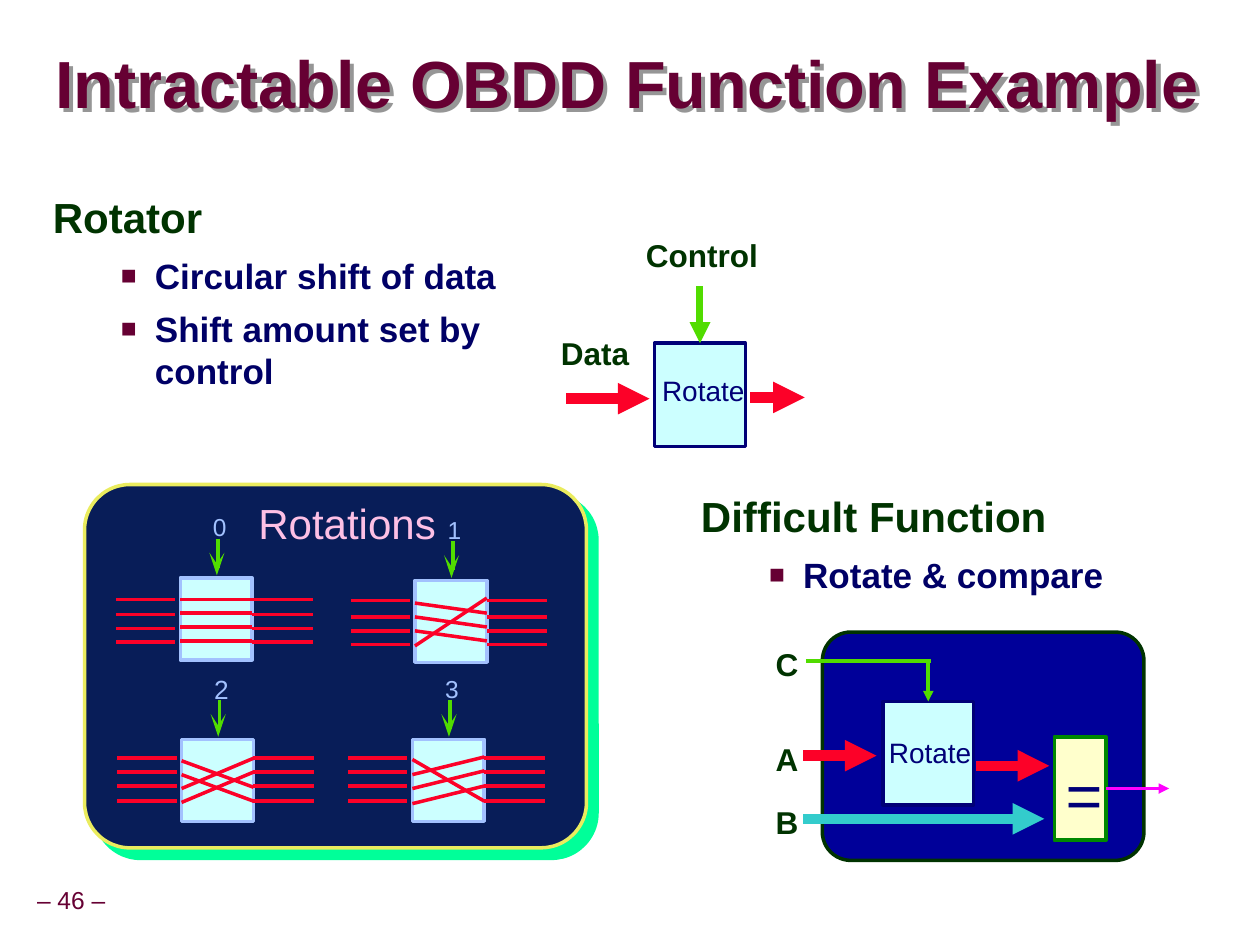
from dataclasses import dataclass

from lxml.etree import SubElement
from pptx import Presentation
from pptx.dml.color import RGBColor
from pptx.enum.shapes import MSO_CONNECTOR, MSO_SHAPE
from pptx.enum.text import MSO_ANCHOR, MSO_AUTO_SIZE, PP_ALIGN
from pptx.oxml.ns import qn
from pptx.util import Inches, Pt

MAROON, DARK_GREEN, NAVY = "660033", "003300", "000077"
RED, GREEN, PALE_CYAN, PALE_BLUE = "FC0128", "51DC00", "CCFFFF", "A2C1FE"
RIGHT, CENTER = PP_ALIGN.RIGHT, PP_ALIGN.CENTER


@dataclass
class Rotation:
    label: str
    left: float
    top: float
    wire_rows: tuple
    entries: tuple
    exits: tuple
    size: int = 14


@dataclass
class Label:
    text: str
    box: tuple
    size: int
    color: str
    bold: bool = False
    align: PP_ALIGN = PP_ALIGN.LEFT
    line_spacing: float = 1.0
    insets: tuple = (0.1, 0.05)


@dataclass
class Line:
    start: tuple
    end: tuple
    color: str
    width: float = 2
    arrow: bool = True


ROTATIONS = [
    Rotation("0", 1.43, 4.58, (0.17, 0.29, 0.4, 0.51),
             (0.17, 0.28, 0.39, 0.5), (0.17, 0.28, 0.39, 0.5)),
    Rotation("1", 3.29, 4.6, (0.16, 0.29, 0.4, 0.51),
             (0.18, 0.29, 0.4, 0.52), (0.26, 0.37, 0.48, 0.14)),
    Rotation("2", 1.44, 5.86, (0.15, 0.26, 0.37, 0.49),
             (0.17, 0.28, 0.39, 0.5), (0.38, 0.49, 0.15, 0.26), 15),
    Rotation("3", 3.27, 5.86, (0.15, 0.26, 0.37, 0.49),
             (0.16, 0.28, 0.39, 0.51), (0.49, 0.14, 0.25, 0.37)),
]
TIGHT = (0.07, 0.03)
LABELS = [
    Label("Data", (4.26, 2.66, 0.8, 0.31), 18, DARK_GREEN, True, RIGHT, 0.85, TIGHT),
    Label("Control", (4.99, 1.89, 1.15, 0.31), 18, DARK_GREEN, True, CENTER, 0.85, TIGHT),
    Label("Rotate", (5.18, 2.93, 0.9, 0.32), 16, NAVY, insets=TIGHT),
    Label("Rotate", (6.95, 5.78, 0.95, 0.36), 16, NAVY),
    Label("=", (8.35, 5.94, 0.55, 0.7), 36, NAVY),
    Label("Rotations", (1.95, 3.89, 1.7, 0.5), 24, "FDC0E5"),
    Label("– 46 –", (0, 6.99, 1.13, 0.31), 14, MAROON, False, CENTER, 0.9, (0.05, 0.05)),
] + [
    Label(name, (6.06, top, 0.32, 0.31), 18, DARK_GREEN, True, RIGHT, 0.85, (0.05, 0.05))
    for name, top in (("C", 5.11), ("A", 5.86), ("B", 6.36))
]
LINES = [
    Line((4.49, 3.16), (5.15, 3.16), RED, 6),
    Line((5.95, 3.15), (6.38, 3.15), RED, 6),
    Line((6.37, 5.99), (6.95, 5.99), RED, 6),
    Line((7.74, 6.07), (8.32, 6.07), RED, 6),
    Line((6.37, 6.49), (8.28, 6.49), "33CCCC", 6),
    Line((6.39, 5.24), (7.38, 5.24), GREEN, arrow=False),
]


def rgb(color: str) -> RGBColor:
    return RGBColor.from_string(color)


def write(paragraph, text: str, *, size: float, color: str, bold=False,
          align=PP_ALIGN.LEFT, line_spacing=1.0, space_before=0.0) -> None:
    run = paragraph.add_run()
    run.text = text
    run.font.name, run.font.size, run.font.bold = "Arial", Pt(size), bold
    run.font.color.rgb = rgb(color)
    paragraph.alignment, paragraph.line_spacing = align, line_spacing
    paragraph.space_before = Pt(space_before)


def add_frame(slide, box: tuple, insets: tuple, wrap: bool):
    frame = slide.shapes.add_textbox(*map(Inches, box)).text_frame
    frame.margin_left = frame.margin_right = Inches(insets[0])
    frame.margin_top = frame.margin_bottom = Inches(insets[1])
    frame.word_wrap = wrap
    if not wrap:
        frame.auto_size = MSO_AUTO_SIZE.SHAPE_TO_FIT_TEXT
    return frame


def add_label(slide, label: Label) -> None:
    frame = add_frame(slide, label.box, label.insets, wrap=False)
    write(frame.paragraphs[0], label.text, size=label.size, color=label.color,
          bold=label.bold, align=label.align, line_spacing=label.line_spacing)


def add_outline(slide, box: tuple, heading: str, bullets: list) -> None:
    frame = add_frame(slide, box, (0.1, 0.05), wrap=True)
    write(frame.paragraphs[0], heading, size=24, color=DARK_GREEN, bold=True, line_spacing=0.95)
    for text in bullets:
        paragraph = frame.add_paragraph()
        paragraph.level = 1
        properties = paragraph._p.get_or_add_pPr()
        properties.set("marL", str(Inches(0.81)))
        properties.set("indent", str(Inches(-0.27)))
        bullet_color = SubElement(properties, qn("a:buClr"))
        SubElement(bullet_color, qn("a:srgbClr"), val=MAROON)
        SubElement(properties, qn("a:buSzPct"), val="75000")
        SubElement(properties, qn("a:buFont"), typeface="Arial")
        SubElement(properties, qn("a:buChar"), char="■")
        write(paragraph, text, size=20, color="000066", bold=True, space_before=6.2)


def add_box(slide, box: tuple, fill: str, line: str, kind=MSO_SHAPE.RECTANGLE):
    shape = slide.shapes.add_shape(kind, *map(Inches, box))
    shape.shadow.inherit = False
    shape.fill.solid()
    shape.fill.fore_color.rgb = rgb(fill)
    shape.line.color.rgb = rgb(line)
    shape.line.width = Pt(2)
    if kind == MSO_SHAPE.ROUNDED_RECTANGLE:
        shape.adjustments[0] = 0.125
    return shape


def add_shadow(shape, color: str, distance: float) -> None:
    shape.shadow.inherit = False
    effects = shape._element.spPr.find(qn("a:effectLst"))
    shadow = SubElement(effects, qn("a:outerShdw"), blurRad="0", dist=str(Pt(distance)),
                        dir="2700000", algn="ctr", rotWithShape="0")
    SubElement(shadow, qn("a:srgbClr"), val=color)


def add_line(slide, line: Line):
    connector = slide.shapes.add_connector(
        MSO_CONNECTOR.STRAIGHT, *map(Inches, line.start + line.end))
    connector.line.color.rgb = rgb(line.color)
    connector.line.width = Pt(line.width)
    if line.arrow:
        SubElement(connector.line._get_or_add_ln(), qn("a:tailEnd"), type="triangle")
    SubElement(connector._element.spPr, qn("a:effectLst"))
    return connector


def add_rotation(slide, rotation: Rotation) -> None:
    left, top, width = rotation.left, rotation.top, 0.57
    add_box(slide, (left, top, width, 0.65), PALE_CYAN, PALE_BLUE)
    # Wires into, out of and across the box
    for row, entry, leaving in zip(rotation.wire_rows, rotation.entries, rotation.exits):
        for start, end, first, last in ((-0.51, -0.04, row, row),
                                        (width, 1.05, row, row),
                                        (0, width, entry, leaving)):
            add_line(slide, Line((left + start, top + first), (left + end, top + last),
                                 RED, arrow=False))
    # Control arrow with a notched head
    middle = left + 0.29
    add_line(slide, Line((middle + 0.01, top - 0.31), (middle + 0.01, top - 0.08),
                         GREEN, arrow=False))
    points = [(Inches(middle + across), Inches(top + down)) for across, down in
              ((0, -0.02), (-0.06, -0.2), (0, -0.11), (0.06, -0.2))]
    builder = slide.shapes.build_freeform(*points[0])
    builder.add_line_segments(points[1:], close=True)
    head = builder.convert_to_shape()
    head.shadow.inherit = False
    head.fill.solid()
    head.fill.fore_color.rgb = rgb(GREEN)
    head.line.fill.background()
    add_label(slide, Label(rotation.label, (left + 0.16, top - 0.57, 0.31, 0.33),
                           rotation.size, PALE_BLUE))


def main() -> None:
    presentation = Presentation()
    presentation.slide_width, presentation.slide_height = Inches(9.99), Inches(7.49)
    slide = presentation.slides.add_slide(presentation.slide_layouts[5])

    # Title
    title = slide.shapes.title
    title.left, title.top, title.width, title.height = map(Inches, (0.44, 0.27, 9.52, 0.85))
    title.fill.background()
    add_shadow(title, "969696", 3.5)
    frame = title.text_frame
    frame.margin_left = frame.margin_right = frame.margin_top = frame.margin_bottom = 0
    frame.vertical_anchor = MSO_ANCHOR.MIDDLE
    frame.auto_size = MSO_AUTO_SIZE.NONE
    write(frame.paragraphs[0], "Intractable OBDD Function Example", size=38,
          color=MAROON, bold=True, line_spacing=0.87)

    # Outlines
    add_outline(slide, (0.32, 1.5, 4.02, 2), "Rotator",
                ["Circular shift of data", "Shift amount set by control"])
    add_outline(slide, (5.46, 3.87, 3.53, 0.76), "Difficult Function", ["Rotate & compare"])

    # Panels and blocks
    rounded = MSO_SHAPE.ROUNDED_RECTANGLE
    panel = add_box(slide, (0.67, 3.84, 3.98, 2.88), "081D58", "EAEC5E", rounded)
    add_shadow(panel, "00FF99", 8.5)
    add_box(slide, (6.52, 5.01, 2.55, 1.81), "000099", DARK_GREEN, rounded)
    rotator = add_box(slide, (5.19, 2.72, 0.72, 0.82), PALE_CYAN, NAVY)
    inner_rotator = add_box(slide, (7, 5.56, 0.72, 0.82), PALE_CYAN, NAVY)
    comparator = add_box(slide, (8.36, 5.84, 0.41, 0.82), "FFFFCC", "008800")

    # Signals
    for line in LINES:
        add_line(slide, line)
    add_line(slide, Line((5.55, 2.27), (5.55, 2.72), GREEN, 4)).end_connect(rotator, 0)
    add_line(slide, Line((7.36, 5.23), (7.36, 5.56), GREEN)).end_connect(inner_rotator, 0)
    add_line(slide, Line((8.77, 6.25), (9.27, 6.25), "FF00FF")).begin_connect(comparator, 3)

    # Rotation examples and labels
    for rotation in ROTATIONS:
        add_rotation(slide, rotation)
    for label in LABELS:
        add_label(slide, label)
    presentation.save("out.pptx")


if __name__ == "__main__":
    main()
